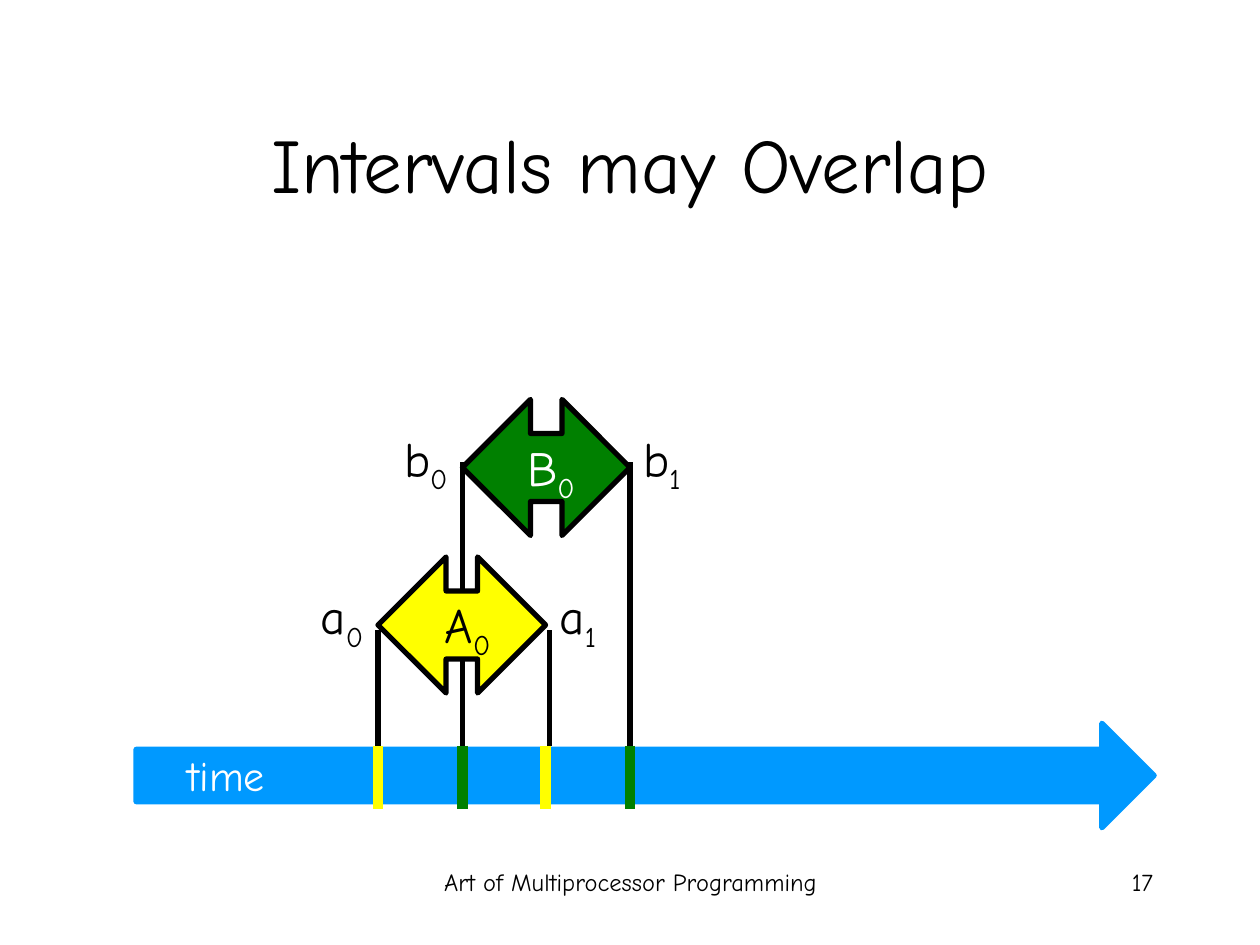
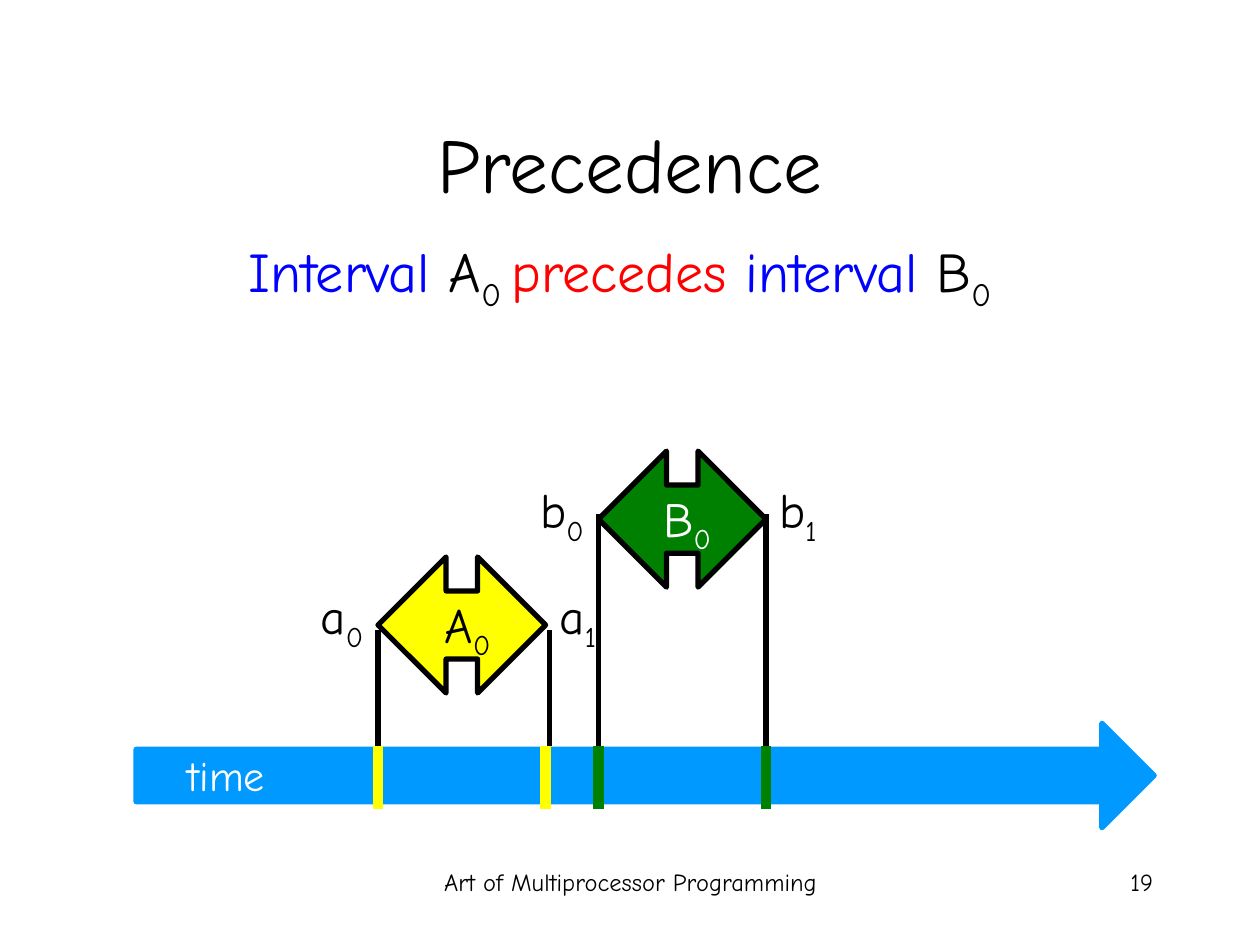
from dataclasses import dataclass

from lxml.etree import SubElement
from pptx import Presentation
from pptx.dml.color import RGBColor
from pptx.enum.shapes import MSO_CONNECTOR, MSO_SHAPE
from pptx.enum.text import MSO_ANCHOR, MSO_AUTO_SIZE, PP_ALIGN
from pptx.oxml.ns import qn
from pptx.util import Inches, Pt

COLORS = {
    "black": "000000",
    "white": "FFFFFF",
    "timeline": "0099FF",
    "yellow": "FFFF00",
    "green": "008000",
    "blue": "0000FF",
    "red": "FF0000",
}
FONT = "Comic Neue"
TITLE_ONLY, TITLE_AND_BODY = 5, 1
AXIS_TOP, AXIS_BOTTOM = 5.92, 6.42
ARROW_WIDTH, ARROW_HEIGHT = 1.33, 1.08


@dataclass
class Interval:
    letter: str
    fill: str
    text_color: str
    left: float
    top: float
    label_widths: tuple
    stem_offset: float
    stem_bottom: float
    end_shift: float = 0


def interval_a():
    return Interval("A", "yellow", "black", 3, 4.42, (0.56, 0.65, 0.52), 0.58, AXIS_TOP, 0.03)


def interval_b(left, top):
    return Interval("B", "green", "white", left, top, (0.59, 0.61, 0.55), 0.5, AXIS_BOTTOM)


def color(name):
    return RGBColor.from_string(COLORS[name])


def add_span(para, text, size=28, fill="black", subscript=False):
    span = para.add_run()
    span.text = text
    span.font.name = FONT
    span.font.size = Pt(size)
    span.font.color.rgb = color(fill)
    if subscript:
        span._r.get_or_add_rPr().set("baseline", "-25000")


class SlideBuilder:
    def __init__(self, deck):
        self.deck = deck
        self.page = None

    def start(self, layout, title, number):
        self.page = self.deck.slides.add_slide(self.deck.slide_layouts[layout])
        self.text([("Art of Multiprocessor Programming", {"size": 14})],
                  3.42, 6.83, 3.17, 0.5, align=PP_ALIGN.CENTER)
        self.text([(str(number), {"size": 14})], 7.17, 6.83, 2.08, 0.5)
        self.placeholder(self.page.shapes.title, [(title, {"size": 44})],
                         0.75, 0.67, 8.5, 1.25, MSO_ANCHOR.MIDDLE)

    def placeholder(self, box, spans, left, top, width, height, anchor):
        box.left, box.top = Inches(left), Inches(top)
        box.width, box.height = Inches(width), Inches(height)
        frame = box.text_frame
        frame.auto_size = MSO_AUTO_SIZE.NONE
        frame.vertical_anchor = anchor
        return self.fill_paragraph(frame.paragraphs[0], spans, PP_ALIGN.CENTER)

    def fill_paragraph(self, para, spans, align):
        para.alignment = align
        para.space_before = Pt(0)
        for text, style in spans:
            add_span(para, text, **style)
        return para

    def body(self, spans):
        para = self.placeholder(self.page.placeholders[1], spans,
                                0.67, 1.83, 8.5, 1.08, MSO_ANCHOR.TOP)
        properties = para._p.get_or_add_pPr()
        properties.set("marL", str(Inches(0.38)))
        properties.set("indent", str(Inches(-0.38)))
        SubElement(properties, qn("a:buNone"))

    def text(self, spans, left, top, width, height, align=PP_ALIGN.RIGHT):
        box = self.page.shapes.add_textbox(Inches(left), Inches(top), Inches(width), Inches(height))
        box.text_frame.word_wrap = False
        self.fill_paragraph(box.text_frame.paragraphs[0], spans, align)

    def shape(self, kind, left, top, width, height, fill, outline):
        shape = self.page.shapes.add_shape(
            kind, Inches(left), Inches(top), Inches(width), Inches(height))
        shape.shadow.inherit = False
        shape.fill.solid()
        shape.fill.fore_color.rgb = color(fill)
        shape.line.color.rgb = color(outline)
        shape.line.width = Pt(3)
        return shape

    def vertical_line(self, x, top, bottom, fill="black", width=3):
        line = self.page.shapes.add_connector(
            MSO_CONNECTOR.STRAIGHT, Inches(x), Inches(top), Inches(x), Inches(bottom))
        line.line.color.rgb = color(fill)
        line.line.width = Pt(width)
        SubElement(line.element.spPr, qn("a:effectLst"))

    def timeline(self):
        self.shape(MSO_SHAPE.RIGHT_ARROW, 1.08, 5.74, 8.08, 0.83, "timeline", "timeline")
        self.text([("time", {"size": 24, "fill": "white"})], 1.31, 5.9, 0.89, 0.5)

    def stems(self, interval):
        for x in (interval.left, interval.left + ARROW_WIDTH + interval.end_shift):
            self.vertical_line(x, interval.top + interval.stem_offset, interval.stem_bottom)

    def interval(self, interval):
        left, top = interval.left, interval.top
        arrow = self.shape(MSO_SHAPE.LEFT_RIGHT_ARROW, left, top,
                           ARROW_WIDTH, ARROW_HEIGHT, interval.fill, "black")
        arrow.rotation = 180
        event = interval.letter.lower()
        labels = (
            (event, "0", -0.02, 0.18, "black"),
            (interval.letter, "0", 0.99, 0.25, interval.text_color),
            (event, "1", 1.83, 0.18, "black"),
        )
        for (name, index, right, drop, fill), width in zip(labels, interval.label_widths):
            self.text([(name, {"fill": fill}), (index, {"fill": fill, "subscript": True})],
                      left + right - width, top + drop, width, 0.57)
        for x in (left, left + ARROW_WIDTH):
            self.vertical_line(x, AXIS_TOP, AXIS_BOTTOM, interval.fill, 6)

    def diagram(self, *intervals):
        self.timeline()
        for interval in intervals:
            self.stems(interval)
        for interval in intervals:
            self.interval(interval)


def main():
    deck = Presentation()
    deck.slide_width, deck.slide_height = Inches(10), Inches(7.5)
    builder = SlideBuilder(deck)

    builder.start(TITLE_ONLY, "Intervals may Overlap", 17)
    builder.diagram(interval_a(), interval_b(3.67, 3.17))

    builder.start(TITLE_AND_BODY, "Precedence", 19)
    builder.diagram(interval_a(), interval_b(4.75, 3.58))
    builder.body([
        ("Interval ", {"size": 32, "fill": "blue"}),
        ("A", {"size": 32}),
        ("0 ", {"size": 32, "subscript": True}),
        ("precedes", {"size": 32, "fill": "red"}),
        (" interval ", {"size": 32, "fill": "blue"}),
        ("B", {"size": 32}),
        ("0", {"size": 32, "subscript": True}),
    ])

    deck.save("out.pptx")


if __name__ == "__main__":
    main()
